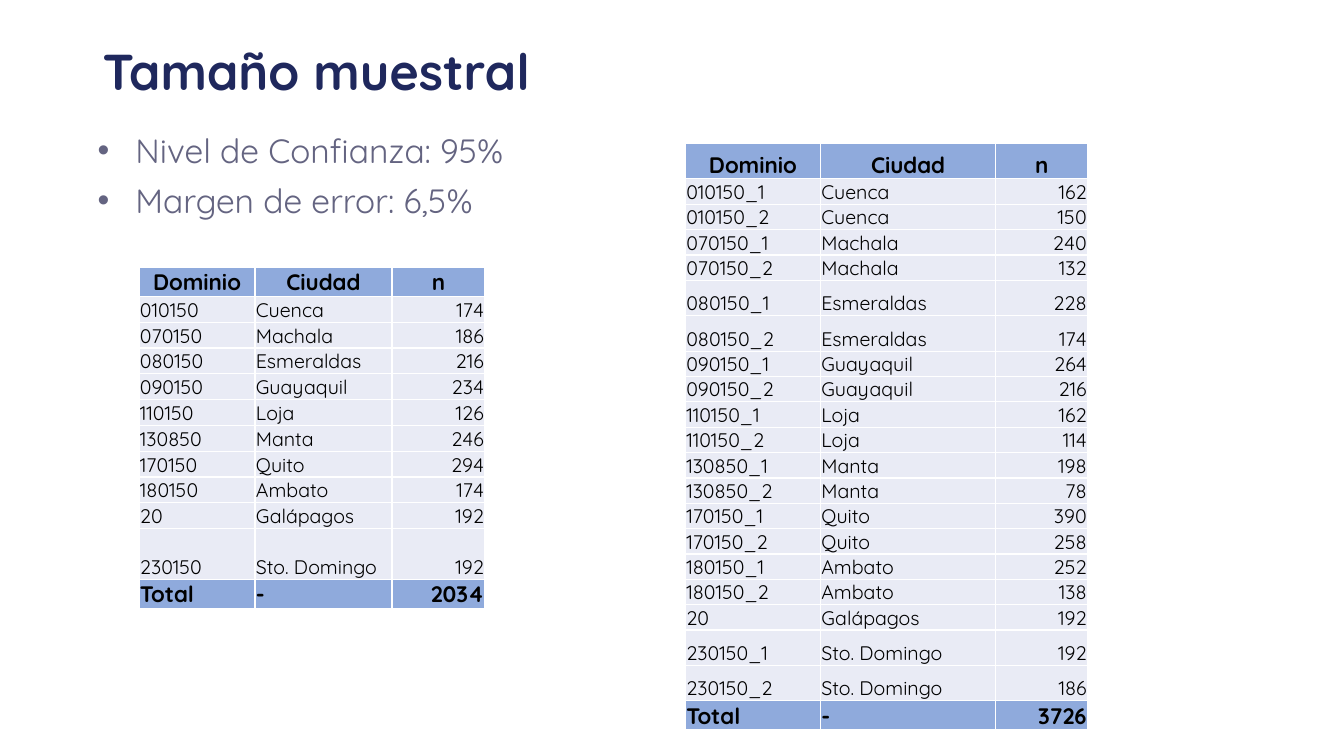
"""Build the sample size slide with its two tables of domains."""
from dataclasses import dataclass

from lxml.etree import SubElement
from pptx import Presentation
from pptx.dml.color import RGBColor
from pptx.enum.text import MSO_ANCHOR, PP_ALIGN
from pptx.oxml.ns import qn
from pptx.slide import Slide
from pptx.table import _Cell
from pptx.text.text import TextFrame, _Paragraph
from pptx.util import Pt

FONT = "Quicksand"
NAVY = RGBColor(0x1F, 0x28, 0x5D)
GRAY = RGBColor(0x64, 0x64, 0x81)
BLACK = RGBColor(0x00, 0x00, 0x00)
WHITE = RGBColor(0xFF, 0xFF, 0xFF)
BLUE = RGBColor(0x8F, 0xAA, 0xDC)
PALE = RGBColor(0xE9, 0xEB, 0xF5)

HEADER = ("Dominio", "Ciudad", "n")
ALIGNS = (PP_ALIGN.LEFT, PP_ALIGN.LEFT, PP_ALIGN.RIGHT)


@dataclass(frozen=True)
class SampleTable:
    left: float
    top: float
    widths: tuple[float, float, float]
    header_height: float
    row_height: float
    tall_height: float
    total_height: float
    tall_domains: tuple[str, ...]
    rows: tuple[tuple[str, str, int], ...]

    def heights(self) -> list[float]:
        body = [self.tall_height if domain in self.tall_domains else self.row_height
                for domain, _, _ in self.rows]
        return [self.header_height, *body, self.total_height]

    def lines(self) -> list[tuple]:
        total = sum(n for _, _, n in self.rows)
        return [HEADER, *self.rows, ("Total", "-", total)]


BY_CITY = SampleTable(
    99.36, 190.8, (82.8, 97.92, 66.24), 21, 18.45, 36.2, 20.6, ("230150",),
    (
        ("010150", "Cuenca", 174),
        ("070150", "Machala", 186),
        ("080150", "Esmeraldas", 216),
        ("090150", "Guayaquil", 234),
        ("110150", "Loja", 126),
        ("130850", "Manta", 246),
        ("170150", "Quito", 294),
        ("180150", "Ambato", 174),
        ("20", "Galápagos", 192),
        ("230150", "Sto. Domingo", 192),
    ),
)
BY_SUBDOMAIN = SampleTable(
    489.6, 102.5, (96.48, 125.28, 65.52), 25.3, 18.13, 25.3, 20.4,
    ("080150_1", "080150_2", "230150_1", "230150_2"),
    (
        ("010150_1", "Cuenca", 162),
        ("010150_2", "Cuenca", 150),
        ("070150_1", "Machala", 240),
        ("070150_2", "Machala", 132),
        ("080150_1", "Esmeraldas", 228),
        ("080150_2", "Esmeraldas", 174),
        ("090150_1", "Guayaquil", 264),
        ("090150_2", "Guayaquil", 216),
        ("110150_1", "Loja", 162),
        ("110150_2", "Loja", 114),
        ("130850_1", "Manta", 198),
        ("130850_2", "Manta", 78),
        ("170150_1", "Quito", 390),
        ("170150_2", "Quito", 258),
        ("180150_1", "Ambato", 252),
        ("180150_2", "Ambato", 138),
        ("20", "Galápagos", 192),
        ("230150_1", "Sto. Domingo", 192),
        ("230150_2", "Sto. Domingo", 186),
    ),
)


def write(p: _Paragraph, text: str, *, size: float, color: RGBColor,
          bold: bool = False, align: PP_ALIGN = PP_ALIGN.LEFT) -> None:
    p.alignment = align
    r = p.add_run()
    r.text = text
    r.font.name = FONT
    r.font.size = Pt(size)
    r.font.bold = bold
    r.font.color.rgb = color


def add_box(s: Slide, left: float, top: float, width: float, height: float,
            anchor: MSO_ANCHOR) -> TextFrame:
    sp = s.shapes.add_textbox(Pt(left), Pt(top), Pt(width), Pt(height))
    tf = sp.text_frame
    tf.word_wrap = True
    tf.vertical_anchor = anchor
    return tf


def add_bullet(p: _Paragraph) -> None:
    pPr = p._p.get_or_add_pPr()
    pPr.set("marL", str(Pt(27)))
    pPr.set("indent", str(Pt(-27)))
    SubElement(pPr, qn("a:buFont"), typeface="Arial")
    SubElement(pPr, qn("a:buChar"), char="•")


def style_cell(cell: _Cell, fill: RGBColor) -> None:
    tcPr = cell._tc.get_or_add_tcPr()
    for side in ("lnL", "lnR", "lnT", "lnB"):
        ln = SubElement(tcPr, qn(f"a:{side}"), w=str(Pt(1)))
        solid = SubElement(ln, qn("a:solidFill"))
        SubElement(solid, qn("a:srgbClr"), val=str(WHITE))
    cell.fill.solid()
    cell.fill.fore_color.rgb = fill
    cell.vertical_anchor = MSO_ANCHOR.BOTTOM
    cell.margin_left = cell.margin_right = cell.margin_top = Pt(0.6)
    cell.margin_bottom = Pt(0)


def add_sample_table(s: Slide, spec_table: SampleTable) -> None:
    lines, heights = spec_table.lines(), spec_table.heights()
    frame = s.shapes.add_table(
        len(lines), len(HEADER), Pt(spec_table.left), Pt(spec_table.top),
        Pt(sum(spec_table.widths)), Pt(sum(heights)))
    table = frame.table
    table.first_row = table.horz_banding = False
    for column, width in zip(table.columns, spec_table.widths):
        column.width = Pt(width)
    for i, (line, height) in enumerate(zip(lines, heights)):
        table.rows[i].height = Pt(height)
        strong = i in (0, len(lines) - 1)
        for j, value in enumerate(line):
            cell = table.cell(i, j)
            style_cell(cell, BLUE if strong else PALE)
            write(cell.text_frame.paragraphs[0], str(value),
                  size=16 if strong else 14, color=BLACK, bold=strong,
                  align=PP_ALIGN.CENTER if i == 0 else ALIGNS[j])


def main() -> None:
    prs = Presentation()
    prs.slide_width, prs.slide_height = Pt(960), Pt(540)
    s = prs.slides.add_slide(prs.slide_layouts[6])

    title = add_box(s, 66.24, 26.64, 652.32, 53.28, MSO_ANCHOR.MIDDLE).paragraphs[0]
    title.line_spacing = 0.9
    write(title, "Tamaño muestral", size=36, color=NAVY, bold=True)

    tf = add_box(s, 62.64, 92.16, 833.04, 409.68, MSO_ANCHOR.TOP)
    for i, text in enumerate(("Nivel de Confianza: 95%", "Margen de error: 6,5%")):
        p = tf.add_paragraph() if i else tf.paragraphs[0]
        p.line_spacing = 0.9
        p.space_before = Pt(10)
        add_bullet(p)
        write(p, text, size=24, color=GRAY, align=PP_ALIGN.JUSTIFY)

    for sample in (BY_CITY, BY_SUBDOMAIN):
        add_sample_table(s, sample)
    prs.save("out.pptx")


if __name__ == "__main__":
    main()
